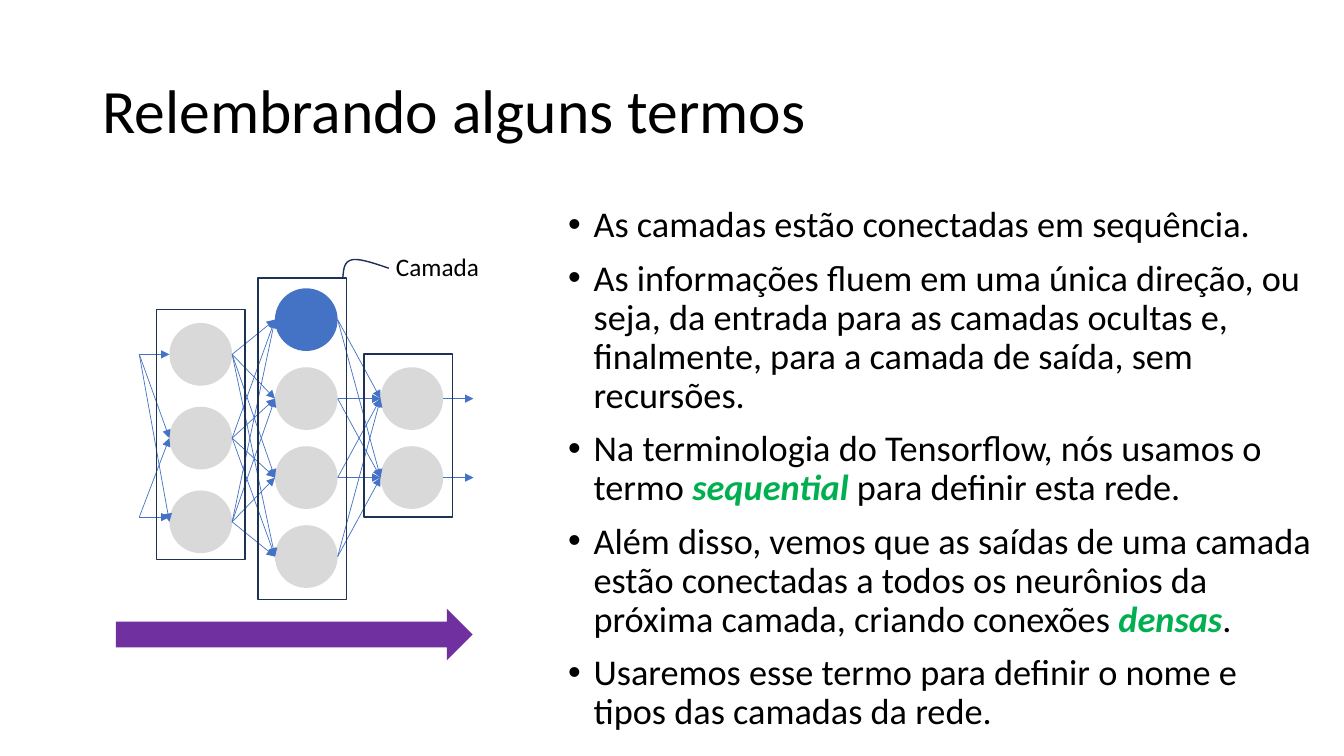
from itertools import product

from lxml import etree
from pptx import Presentation
from pptx.dml.color import RGBColor
from pptx.enum.shapes import MSO_CONNECTOR, MSO_SHAPE
from pptx.enum.text import MSO_ANCHOR
from pptx.oxml.ns import qn
from pptx.util import Cm, Pt

TITLE = "Relembrando alguns termos"
# Each bullet is a list of runs; a run with True is a highlighted term.
BULLETS = [
    [("As camadas estão conectadas em sequência.", False)],
    [("As informações fluem em uma única direção, ou seja, da entrada para as "
      "camadas ocultas e, finalmente, para a camada de saída, sem recursões.", False)],
    [("Na terminologia do Tensorflow, nós usamos o termo ", False),
     ("sequential", True), (" para definir esta rede.", False)],
    [("Além disso, vemos que as saídas de uma camada estão conectadas a todos os "
      "neurônios da próxima camada, criando conexões ", False),
     ("densas", True), (".", False)],
    [("Usaremos esse termo para definir o nome e tipos das camadas da rede.", False)],
]
LABEL = "Camada"
COLORS = {"text": "000000", "term": "00B050", "link": "4472C4", "active": "4472C4",
          "neuron": "D9D9D9", "frame": "1E3256", "flow": "7030A0"}
FONT = "Calibri"

# Network geometry, in centimetres
DIAM = 1.58
LAYER_X, LAYER_STEP = 4.27, 2.66
MIDDLE_Y = 11.04
STUB = 0.76
LAYERS = [  # neurons, vertical step, frame (left, top, width, height)
    (3, 2.11, (3.94, 7.8, 2.24, 6.3)),
    (4, 1.99, (6.5, 7.01, 2.24, 8.1)),
    (2, 1.99, (9.17, 8.92, 2.24, 4.11)),
]
LAST_INPUT_Y = 13.03
CALLOUT = [(8.64, 7.01), (8.66, 6.81), (8.66, 6.6), (8.86, 6.55),
           (9.04, 6.5), (9.42, 6.63), (9.8, 6.76)]


def rgb(name):
    return RGBColor.from_string(COLORS[name])


def add_run(p, text, size, color="text", bold=False, italic=False):
    r = p.add_run()
    r.text = text
    f = r.font
    f.name, f.size, f.bold, f.italic = FONT, Pt(size), bold, italic
    f.color.rgb = rgb(color)


def add_box(slide, left, top, width, height, anchor=MSO_ANCHOR.TOP):
    tf = slide.shapes.add_textbox(Cm(left), Cm(top), Cm(width), Cm(height)).text_frame
    tf.word_wrap = True
    tf.vertical_anchor = anchor
    return tf


def add_bullet(p):
    pPr = p._p.get_or_add_pPr()
    pPr.set("marL", str(Cm(0.64)))
    pPr.set("indent", str(-Cm(0.64)))
    etree.SubElement(pPr, qn("a:buFont")).set("typeface", "Arial")
    etree.SubElement(pPr, qn("a:buChar")).set("char", "•")


def style(sp, fill=None, line=None):
    sp.shadow.inherit = False
    if fill:
        sp.fill.solid()
        sp.fill.fore_color.rgb = rgb(fill)
    else:
        sp.fill.background()
    if line:
        sp.line.color.rgb = rgb(line)
        sp.line.width = Pt(1)
    else:
        sp.line.fill.background()


def add_shape(slide, kind, left, top, width, height, **look):
    sp = slide.shapes.add_shape(kind, Cm(left), Cm(top), Cm(width), Cm(height))
    style(sp, **look)


def add_arrow(slide, start, end):
    c = slide.shapes.add_connector(MSO_CONNECTOR.STRAIGHT,
                                   *(Cm(v) for v in (*start, *end)))
    c.line.color.rgb = rgb("link")
    c.line.width = Pt(0.5)
    etree.SubElement(c.line._get_or_add_ln(), qn("a:tailEnd")).set("type", "triangle")
    etree.SubElement(c._element.spPr, qn("a:effectLst"))


def curve_points(points, steps=12):
    """Sample a chain of cubic Bézier curves."""
    for i in range(0, len(points) - 1, 3):
        a, b, c, d = points[i:i + 4]
        for t in (n / steps for n in range(1, steps + 1)):
            u = 1 - t
            yield tuple(Cm(u**3 * a[k] + 3 * u * u * t * b[k]
                           + 3 * u * t * t * c[k] + t**3 * d[k]) for k in (0, 1))


def add_text(slide):
    p = add_box(slide, 2.33, 1.01, 29.21, 3.68, MSO_ANCHOR.MIDDLE).paragraphs[0]
    p.line_spacing = 0.9
    add_run(p, TITLE, 44)

    tf = add_box(slide, 14.07, 5.08, 19.36, 13.97)
    for i, runs in enumerate(BULLETS):
        p = tf.add_paragraph() if i else tf.paragraphs[0]
        add_bullet(p)
        p.line_spacing = 0.9
        if i:
            p.space_before = Pt(10)
        for text, term in runs:
            add_run(p, text, 25.9, "term" if term else "text", term, term)


def add_network(slide):
    columns = []
    for i, (count, step, _) in enumerate(LAYERS):
        x = LAYER_X + i * LAYER_STEP
        columns.append([(x, MIDDLE_Y + (n - (count - 1) / 2) * step)
                        for n in range(count)])

    for i, column in enumerate(columns):
        for n, (x, y) in enumerate(column):
            fill = "active" if (i, n) == (1, 0) else "neuron"
            add_shape(slide, MSO_SHAPE.OVAL, x, y - DIAM / 2, DIAM, DIAM, fill=fill)

    for sources, targets in zip(columns, columns[1:]):
        for (x, y), target in product(sources, targets):
            add_arrow(slide, (x + DIAM, y), target)

    inputs = columns[0]
    start_x = LAYER_X - STUB
    for target in inputs:
        add_arrow(slide, (start_x, inputs[0][1]), target)
    for target in (inputs[1], (LAYER_X, LAST_INPUT_Y)):
        add_arrow(slide, (start_x, LAST_INPUT_Y), target)
    for x, y in columns[-1]:
        add_arrow(slide, (x + DIAM, y), (x + DIAM + STUB, y))

    for _, _, frame in LAYERS:
        add_shape(slide, MSO_SHAPE.RECTANGLE, *frame, line="frame")


def add_callout(slide):
    add_run(add_box(slide, 9.73, 6.22, 3.43, 1.02).paragraphs[0], LABEL, 18)
    x, y = CALLOUT[0]
    fb = slide.shapes.build_freeform(Cm(x), Cm(y))
    fb.add_line_segments(list(curve_points(CALLOUT)), close=False)
    style(fb.convert_to_shape(), line="frame")


def main():
    prs = Presentation()
    prs.slide_width, prs.slide_height = Cm(33.87), Cm(19.05)
    slide = prs.slides.add_slide(prs.slide_layouts[6])
    add_text(slide)
    add_network(slide)
    add_callout(slide)
    add_shape(slide, MSO_SHAPE.RIGHT_ARROW, 2.92, 15.34, 8.99, 1.3, fill="flow")
    prs.save("out.pptx")


if __name__ == "__main__":
    main()
